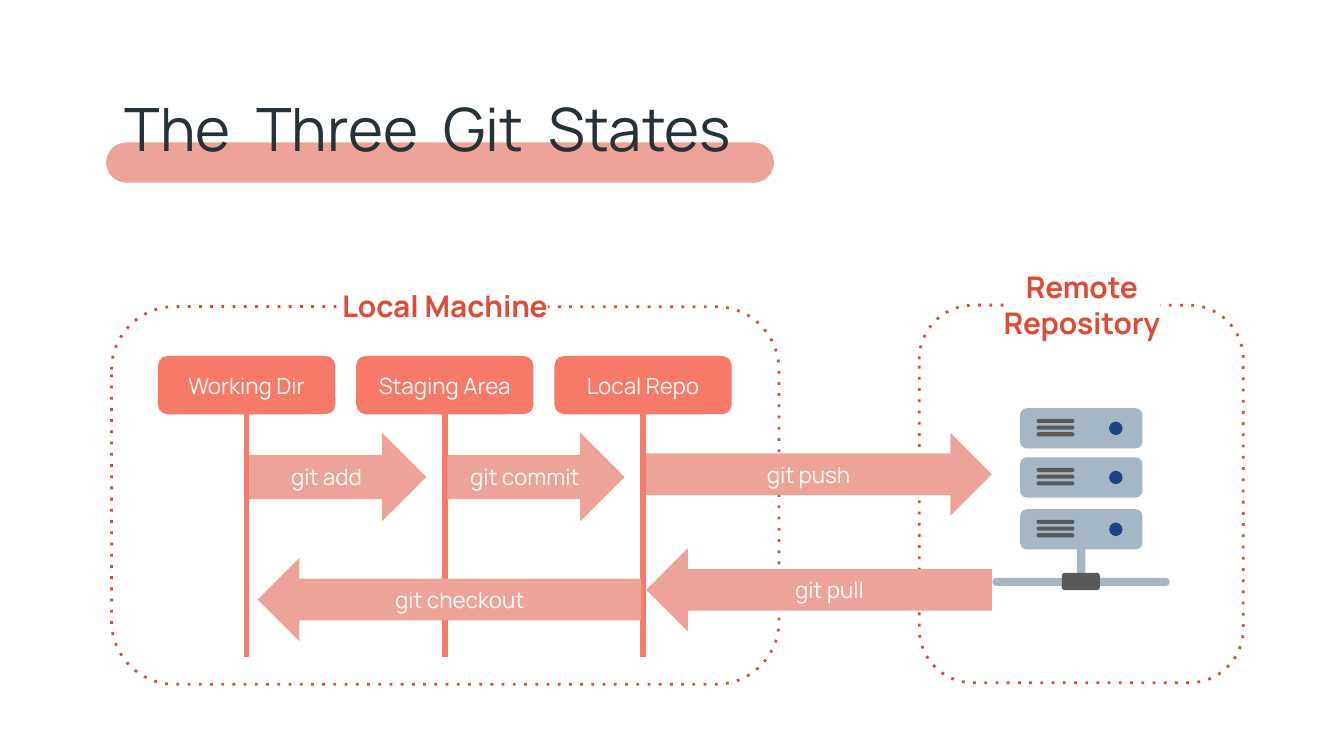
from dataclasses import dataclass

from lxml.etree import SubElement
from pptx import Presentation
from pptx.dml.color import RGBColor
from pptx.enum.shapes import MSO_CONNECTOR as Connector, MSO_SHAPE as Shape
from pptx.enum.text import MSO_ANCHOR as Anchor, PP_ALIGN as Align
from pptx.oxml.ns import qn
from pptx.util import Pt


@dataclass(frozen=True)
class Theme:
    font: str = "Manrope"
    ink: str = "263238"
    accent: str = "DE4C36"
    stage: str = "F77967"
    arrow: str = "EEA398"
    white: str = "FFFFFF"
    server: str = "A5B7C5"
    light: str = "1C4587"
    dark: str = "595959"
    title_size: int = 32
    label_size: int = 16
    body_size: int = 12


THEME = Theme()


def format_run(run, size, color, bold=False):
    run.font.name = THEME.font
    run.font.size = Pt(size)
    run.font.bold = bold
    run.font.color.rgb = RGBColor.from_string(color)


def set_insets(frame):
    frame.word_wrap = True
    frame.margin_left = frame.margin_right = Pt(7.2)
    frame.margin_top = frame.margin_bottom = Pt(7.2)


def add_block(shapes, kind, box, fill=None, radius=None, text=None):
    shape = shapes.add_shape(kind, *map(Pt, box))
    shape.shadow.inherit = False
    shape.line.fill.background()
    if fill:
        shape.fill.solid()
        shape.fill.fore_color.rgb = RGBColor.from_string(fill)
    else:
        shape.fill.background()
    if radius is not None:
        shape.adjustments[0] = radius
    if text:
        frame = shape.text_frame
        set_insets(frame)
        frame.vertical_anchor = Anchor.MIDDLE
        frame.text = text
        frame.paragraphs[0].alignment = Align.CENTER
        format_run(frame.paragraphs[0].runs[0], THEME.body_size, THEME.white)
    return shape


def add_bar(shapes, box, fill, radius=0.5):
    return add_block(shapes, Shape.ROUNDED_RECTANGLE, box, fill, radius)


def add_title(shapes, words):
    underline = add_bar(shapes, (56.9, 76.3, 357.8, 21.6), THEME.accent)
    color = underline.fill._xPr.find(".//" + qn("a:srgbClr"))
    SubElement(color, qn("a:alpha"), val="51000")
    frame = shapes.add_textbox(Pt(59.8), Pt(41.8), Pt(606.2), Pt(48.2)).text_frame
    set_insets(frame)
    paragraph = frame.paragraphs[0]
    for index, word in enumerate(words):
        if index:
            space = paragraph.add_run()
            space.text = " "
            format_run(space, THEME.title_size, THEME.ink)
            space.font._element.set("spc", "700")
        run = paragraph.add_run()
        run.text = word
        format_run(run, THEME.title_size, THEME.ink)


def add_zone(shapes, box, fill=None):
    zone = add_bar(shapes, box, fill, 0.167)
    zone.line.color.rgb = RGBColor.from_string(THEME.accent)
    zone.line.width = Pt(1.5)
    outline = zone.element.spPr.find(qn("a:ln"))
    SubElement(outline, qn("a:prstDash"), val="dot")


def add_zone_label(shapes, box, text):
    frame = shapes.add_textbox(*map(Pt, box)).text_frame
    set_insets(frame)
    frame.text = text
    paragraph = frame.paragraphs[0]
    paragraph.alignment = Align.CENTER
    run = paragraph.runs[0]
    format_run(run, THEME.label_size, THEME.accent, bold=True)
    properties = run.font._element
    highlight = SubElement(properties, qn("a:highlight"))
    SubElement(highlight, qn("a:srgbClr"), val=THEME.white)
    properties.find(qn("a:solidFill")).addnext(highlight)


def add_server(shapes, left, top):
    add_bar(shapes, (left, top, 65.5, 21.6), THEME.server, 0.167)
    add_block(shapes, Shape.OVAL, (left + 47.7, top + 7.2, 7.2, 7.2), THEME.light)
    for row in range(3):
        add_bar(shapes, (left + 8.8, top + 5.7 + 3.6 * row, 20.3, 2.2), THEME.dark)


def add_server_rack(shapes):
    rack = shapes.add_group_shape().shapes
    add_bar(rack, (577.1, 289.8, 4.3, 20.9), THEME.server)
    add_bar(rack, (531.6, 309.6, 95, 4.3), THEME.server)
    for top in (218.7, 245, 272.8):
        add_server(rack, 546.5, top)
    add_bar(rack, (568.9, 306.9, 20.3, 9.3), THEME.dark, 0.167)


def add_stage(shapes, left, name):
    add_block(shapes, Shape.ROUNDED_RECTANGLE, (left, 190.7, 95, 31.3), THEME.stage, 0.167, name)
    center = left + 47.5
    line = shapes.add_connector(Connector.STRAIGHT, Pt(center), Pt(222), Pt(center), Pt(352))
    line.line.color.rgb = RGBColor.from_string(THEME.stage)
    line.line.width = Pt(3)
    SubElement(line.element.spPr, qn("a:effectLst"))


def main():
    presentation = Presentation()
    presentation.slide_width, presentation.slide_height = Pt(720), Pt(405)
    slide = presentation.slides.add_slide(presentation.slide_layouts[6])
    shapes = slide.shapes

    add_title(shapes, ("The", "Three", "Git", "States"))
    add_zone(shapes, (59.8, 164.3, 357.5, 202.3), THEME.white)
    add_zone(shapes, (492.5, 163.5, 173.6, 202.3))
    add_zone_label(shapes, (160.3, 146.9, 156.2, 33.8), "Local Machine")
    add_zone_label(shapes, (501.5, 137, 156.2, 52.6), "Remote Repository")
    add_server_rack(shapes)

    for index, name in enumerate(("Working Dir", "Staging Area", "Local Repo")):
        add_stage(shapes, 84.6 + 106.2 * index, name)

    commands = (
        ("git add", Shape.RIGHT_ARROW, (133.4, 231.8, 95, 47.5)),
        ("git commit", Shape.RIGHT_ARROW, (239.6, 231.8, 95, 47.5)),
        ("git checkout", Shape.LEFT_ARROW, (138.1, 298.9, 205.4, 44.6)),
        ("git push", Shape.RIGHT_ARROW, (346.2, 231.8, 185.2, 44.6)),
        ("git pull", Shape.LEFT_ARROW, (346.2, 293.7, 185.2, 44.6)),
    )
    for command, kind, box in commands:
        add_block(shapes, kind, box, THEME.arrow, text=command)

    presentation.save("out.pptx")


if __name__ == "__main__":
    main()
